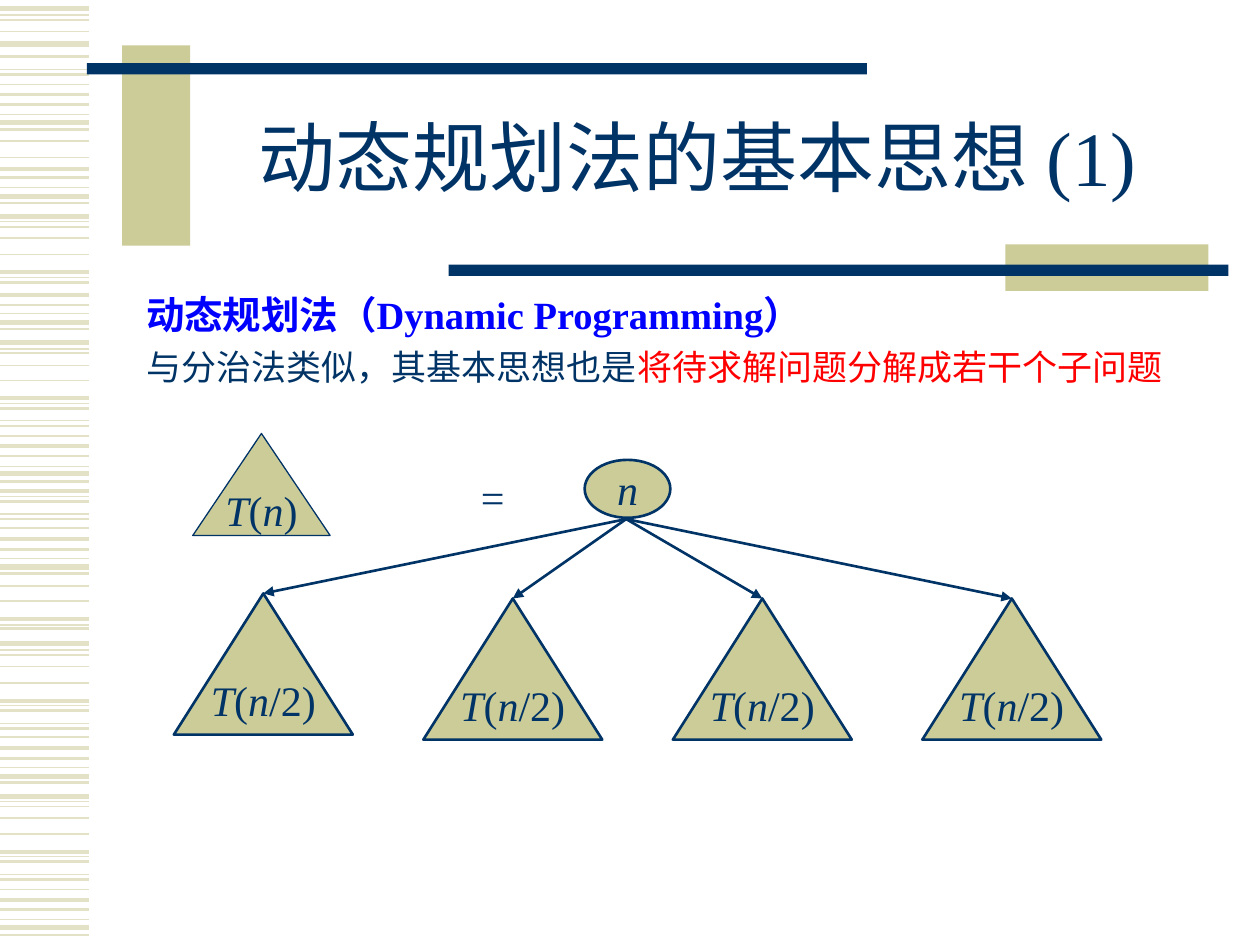
from dataclasses import dataclass

from lxml.etree import SubElement
from pptx import Presentation
from pptx.dml.color import RGBColor
from pptx.enum.shapes import MSO_CONNECTOR as Connector, MSO_SHAPE as Shape
from pptx.enum.text import MSO_ANCHOR as Anchor, MSO_AUTO_SIZE as AutoSize, PP_ALIGN as Align
from pptx.oxml.ns import qn
from pptx.util import Inches, Pt

NAVY, KHAKI, STRIPE, BLUE, RED = "003366", "CCCC99", "E3E2C7", "0000FF", "FF0000"
SERIF, SANS = "Times New Roman", "Noto Sans CJK SC"


@dataclass
class Span:
    text: str
    size: float = 24
    font: str = SERIF
    color: str = NAVY
    bold: bool = False
    italic: bool = False


@dataclass
class Box:
    left: float
    top: float
    width: float
    height: float

    def lengths(self):
        return [Inches(v) for v in (self.left, self.top, self.width, self.height)]


def rgb(value: str) -> RGBColor:
    return RGBColor.from_string(value)


def add_spans(paragraph, spans: list[Span]) -> None:
    for span in spans:
        run = paragraph.add_run()
        run.text = span.text
        font = run.font
        font.size, font.name = Pt(span.size), span.font
        font.bold, font.italic = span.bold, span.italic
        font.color.rgb = rgb(span.color)
        SubElement(font._element, qn("a:ea"), typeface=SANS)


def add_line(slide, start, end, color: str, width: float, arrow: bool = False):
    points = [Inches(v) for v in (*start, *end)]
    line = slide.shapes.add_connector(Connector.STRAIGHT, *points)
    line.line.color.rgb = rgb(color)
    line.line.width = Pt(width)
    if arrow:
        SubElement(line.line._get_or_add_ln(), qn("a:tailEnd"), type="triangle")
    SubElement(line._element.spPr, qn("a:effectLst"))
    return line


def add_shape(slide, kind, box: Box, fill: str, line_width: float = 0, spans=()):
    shape = slide.shapes.add_shape(kind, *box.lengths())
    shape.shadow.inherit = False
    shape.fill.solid()
    shape.fill.fore_color.rgb = rgb(fill)
    if line_width:
        shape.line.color.rgb = rgb(NAVY)
        shape.line.width = Pt(line_width)
    else:
        shape.line.fill.background()
    if spans:
        frame = shape.text_frame
        frame.word_wrap = False
        frame.vertical_anchor = Anchor.MIDDLE
        frame.paragraphs[0].alignment = Align.CENTER
        add_spans(frame.paragraphs[0], spans)
    return shape


def place(placeholder, box: Box, anchor):
    placeholder.left, placeholder.top, placeholder.width, placeholder.height = box.lengths()
    frame = placeholder.text_frame
    frame.word_wrap = True
    frame.auto_size = AutoSize.NONE
    frame.vertical_anchor = anchor
    return frame


def cost(argument_end: str) -> list[Span]:
    return [Span("T", italic=True), Span("("), Span("n", italic=True), Span(argument_end)]


# Left margin stripes: line width in points -> heights on the slide
STRIPES = {
    0.75: [0.12, 0.55, 0.91, 1.49, 1.76, 2.2, 2.49, 2.77, 3.2, 3.34, 3.7, 3.94, 4.08, 4.43,
           4.96, 5.16, 5.6, 5.74, 6.09, 6.36, 6.8, 6.94, 7.3],
    1: [0.16, 0.25, 0.67, 1.12, 1.25, 1.8, 1.89, 2.02, 2.8, 2.9, 3.02, 3.46, 4.19, 4.65,
        4.77, 5.2, 5.29, 5.42, 5.85, 6.4, 6.49, 6.62, 7.06],
    1.5: [0.45, 0.59, 0.83, 1.03, 1.41, 1.61, 2.24, 2.42, 2.61, 3.24, 3.38, 3.62, 3.82, 3.98,
          4.12, 4.36, 4.55, 4.99, 5.64, 5.78, 6.02, 6.21, 6.84, 6.98, 7.22, 7.42],
    2.25: [0.75, 1.34, 2.16, 2.34, 3.16, 3.54, 3.9, 4.28, 4.91, 5.56, 5.94, 6.76, 7.14],
    3: [0.07, 0.35, 0.97, 1.56, 1.72, 2.56, 2.72, 3.76, 4.5, 5.11, 6.16, 6.32, 7.36],
}
BARS = [
    (Box(0.97, 0.36, 0.54, 1.59), KHAKI),
    (Box(0.69, 0.5, 6.19, 0.09), NAVY),
    (Box(7.98, 1.94, 1.61, 0.37), KHAKI),
    (Box(3.56, 2.1, 6.19, 0.09), NAVY),
]
BODY = [
    [Span("动态规划法（", 22, SANS, BLUE, True),
     Span("Dynamic Programming", 22, SERIF, BLUE, True),
     Span("）", 22, SANS, BLUE, True)],
    [Span("与分治法类似，其基本思想也是", 20, SANS),
     Span("将待求解问题分解成若干个子问题", 20, SANS, RED)],
]


def draw_background(slide) -> None:
    for width, heights in STRIPES.items():
        for y in heights:
            add_line(slide, (0, y), (0.71, y), STRIPE, width)
    for box, color in BARS:
        add_shape(slide, Shape.RECTANGLE, box, color)


def write_text(slide) -> None:
    title = place(slide.shapes.title, Box(1.5, 0.67, 8.07, 1.25), Anchor.MIDDLE).paragraphs[0]
    title.alignment = Align.CENTER
    title.line_spacing = 0.85
    add_spans(title, [Span("动态规划法的基本思想 (1)", 44)])

    frame = place(slide.placeholders[1], Box(1.06, 2.22, 8.66, 4.03), Anchor.TOP)
    for index, spans in enumerate(BODY):
        paragraph = frame.add_paragraph() if index else frame.paragraphs[0]
        paragraph.line_spacing = Pt(29)
        paragraph.space_before = Pt(0 if index else 4.4)
        paragraph.space_after = Pt(6 if index else 0)
        properties = paragraph._p.get_or_add_pPr()
        properties.set("marL", "0")
        properties.set("indent", "0")
        SubElement(properties, qn("a:buNone"))
        add_spans(paragraph, spans)


def draw_recursion(slide) -> None:
    # Whole problem, equals sign and root
    add_shape(slide, Shape.ISOSCELES_TRIANGLE, Box(1.53, 3.44, 1.09, 0.81), KHAKI, 0.75, cost(")"))
    equals = slide.shapes.add_textbox(*Box(3.46, 3.69, 0.9, 0.5).lengths()).text_frame
    equals.word_wrap = True
    equals.paragraphs[0].alignment = Align.CENTER
    add_spans(equals.paragraphs[0], [Span("=")])
    add_shape(slide, Shape.OVAL, Box(4.64, 3.65, 0.68, 0.46), KHAKI, 1.5,
              [Span("n", italic=True)])

    # Four subproblems, each reached by an arrow from the root
    for index, top in enumerate([4.71, 4.75, 4.75, 4.75]):
        box = Box(1.38 + 1.98 * index, top, 1.42, 1.12)
        triangle = add_shape(slide, Shape.ISOSCELES_TRIANGLE, box, KHAKI, 1.5, cost("/2)"))
        arrow = add_line(slide, (4.97, 4.12), (box.left + box.width / 2, top), NAVY, 1.5, True)
        arrow.end_connect(triangle, 0)


def main() -> None:
    presentation = Presentation()
    presentation.slide_width, presentation.slide_height = Inches(10), Inches(7.5)
    slide = presentation.slides.add_slide(presentation.slide_layouts[1])
    draw_background(slide)
    write_text(slide)
    draw_recursion(slide)
    presentation.save("out.pptx")


if __name__ == "__main__":
    main()
